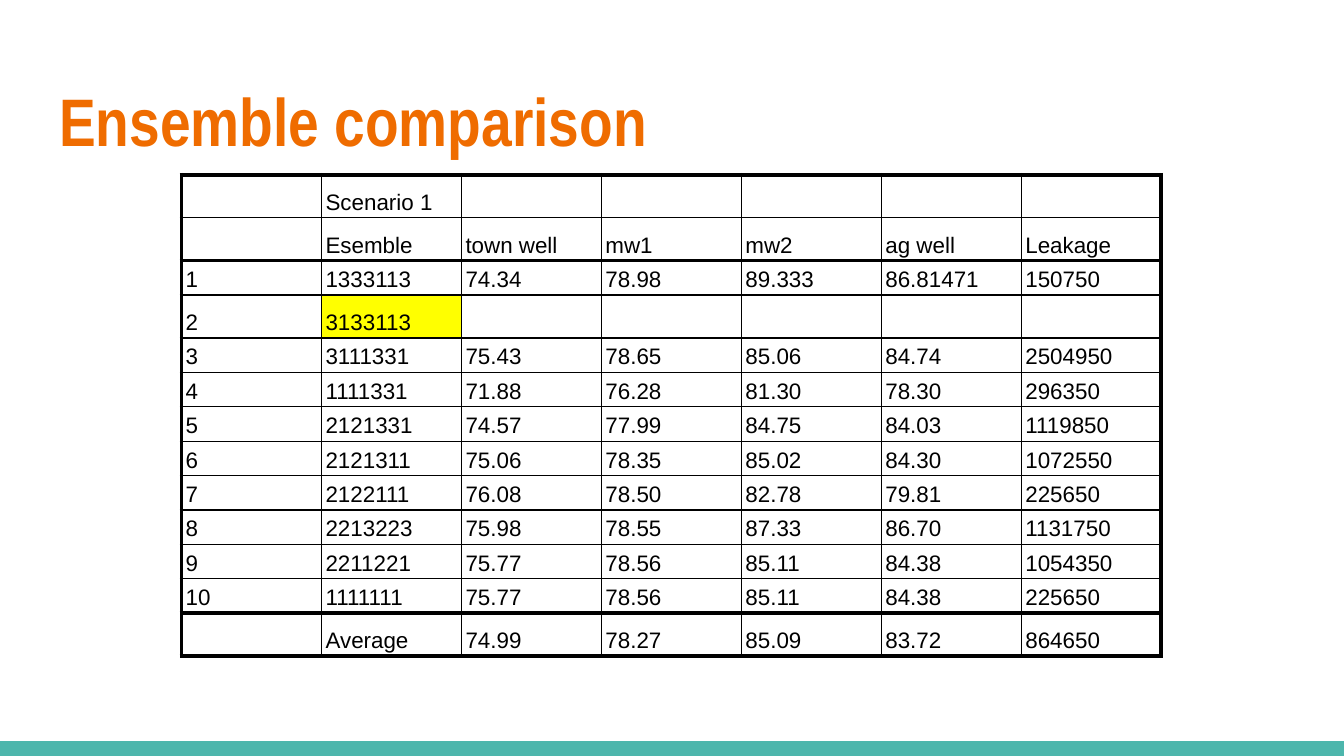
"""Build the ensemble comparison slide."""
from typing import NamedTuple

from lxml.etree import SubElement as Sub
from pptx import Presentation
from pptx.dml.color import RGBColor
from pptx.enum.shapes import MSO_SHAPE as Shape
from pptx.enum.text import MSO_ANCHOR as Anchor, PP_ALIGN as Align
from pptx.oxml.ns import qn
from pptx.util import Inches, Pt

ORANGE = RGBColor(0xEF, 0x6C, 0x00)
TEAL = RGBColor(0x4D, 0xB6, 0xAC)
BLACK = RGBColor(0x00, 0x00, 0x00)
WHITE = RGBColor(0xFF, 0xFF, 0xFF)
YELLOW = RGBColor(0xFF, 0xFF, 0x00)
THIN, THICK = Pt(0.75), Pt(2.25)
SIZE = Pt(12)
WIDTH = Inches(10)
HEIGHT = WIDTH * 9 // 16


class Row(NamedTuple):
    label: str
    name: str
    town: str = ""
    mw1: str = ""
    mw2: str = ""
    farm: str = ""
    leak: str = ""


ROWS = [
    Row("", "Scenario 1"),
    Row("", "Esemble", "town well", "mw1", "mw2", "ag well", "Leakage"),
    Row("1", "1333113", "74.34", "78.98", "89.333", "86.81471", "150750"),
    Row("2", "3133113"),
    Row("3", "3111331", "75.43", "78.65", "85.06", "84.74", "2504950"),
    Row("4", "1111331", "71.88", "76.28", "81.30", "78.30", "296350"),
    Row("5", "2121331", "74.57", "77.99", "84.75", "84.03", "1119850"),
    Row("6", "2121311", "75.06", "78.35", "85.02", "84.30", "1072550"),
    Row("7", "2122111", "76.08", "78.50", "82.78", "79.81", "225650"),
    Row("8", "2213223", "75.98", "78.55", "87.33", "86.70", "1131750"),
    Row("9", "2211221", "75.77", "78.56", "85.11", "84.38", "1054350"),
    Row("10", "1111111", "75.77", "78.56", "85.11", "84.38", "225650"),
    Row("", "Average", "74.99", "78.27", "85.09", "83.72", "864650"),
]
COLS = len(Row._fields)
RULES = {0, 2, len(ROWS) - 1, len(ROWS)}


def add_edge(cell, side: str, width: int) -> None:
    line = Sub(cell._tc.get_or_add_tcPr(), qn(f"a:ln{side}"), w=str(width))
    fill = Sub(line, qn("a:solidFill"))
    Sub(fill, qn("a:srgbClr"), val=str(BLACK))


def fill_cell(cell, text: str, row: int, col: int) -> None:
    cell.margin_left = cell.margin_right = Pt(2.25)
    cell.margin_top = cell.margin_bottom = Pt(1.5)
    cell.vertical_anchor = Anchor.BOTTOM
    para = cell.text_frame.paragraphs[0]
    para.line_spacing = 1.15
    if text:
        run = para.add_run()
        run.text = text
        run.font.name = "Arial"
        run.font.size = SIZE
        run.font.color.rgb = BLACK
    else:
        Sub(para._p, qn("a:endParaRPr"), sz=str(SIZE.centipoints))
    edges = {
        "L": col == 0,
        "R": col == COLS - 1,
        "T": row in RULES,
        "B": row + 1 in RULES,
    }
    for side, bold in edges.items():
        add_edge(cell, side, THICK if bold else THIN)
    label = ROWS[row].label
    if label and text and col in (1, 2):
        cell.fill.solid()
        cell.fill.fore_color.rgb = YELLOW if label == "2" else WHITE
    else:
        cell.fill.background()


def add_grid(slide) -> None:
    wide = Inches(7.29)
    frame = slide.shapes.add_table(
        len(ROWS), COLS, Inches(1.35), Inches(1.3), wide, Inches(3.28)
    )
    grid = frame.table
    grid.first_row = grid.horz_banding = False
    for col in grid.columns:
        col.width = wide // COLS
    for i, row in enumerate(ROWS):
        grid.rows[i].height = Inches(0.25 if all(row) else 0.32)
        for j, text in enumerate(row):
            fill_cell(grid.cell(i, j), text, i, j)


def add_title(slide, text: str) -> None:
    title = slide.shapes.title
    title.left, title.top = Inches(0.34), Inches(0.49)
    title.width, title.height = Inches(9.32), Inches(0.77)
    frame = title.text_frame
    frame.margin_left = frame.margin_right = Inches(0.1)
    frame.margin_top = frame.margin_bottom = Inches(0.1)
    frame.vertical_anchor = Anchor.TOP
    para = frame.paragraphs[0]
    para.alignment = Align.LEFT
    run = para.add_run()
    run.text = text
    run.font.name = "Arial Narrow"
    run.font.size = Pt(36)
    run.font.bold = True
    run.font.color.rgb = ORANGE


def add_bar(slide) -> None:
    tall = Inches(0.11)
    bar = slide.shapes.add_shape(Shape.RECTANGLE, 0, HEIGHT - tall, WIDTH, tall)
    bar.shadow.inherit = False
    bar.fill.solid()
    bar.fill.fore_color.rgb = TEAL
    bar.line.fill.background()


def main() -> None:
    deck = Presentation()
    deck.slide_width, deck.slide_height = WIDTH, HEIGHT
    slide = deck.slides.add_slide(deck.slide_layouts[5])
    add_bar(slide)
    add_title(slide, "Ensemble comparison")
    add_grid(slide)
    deck.save("out.pptx")


if __name__ == "__main__":
    main()
